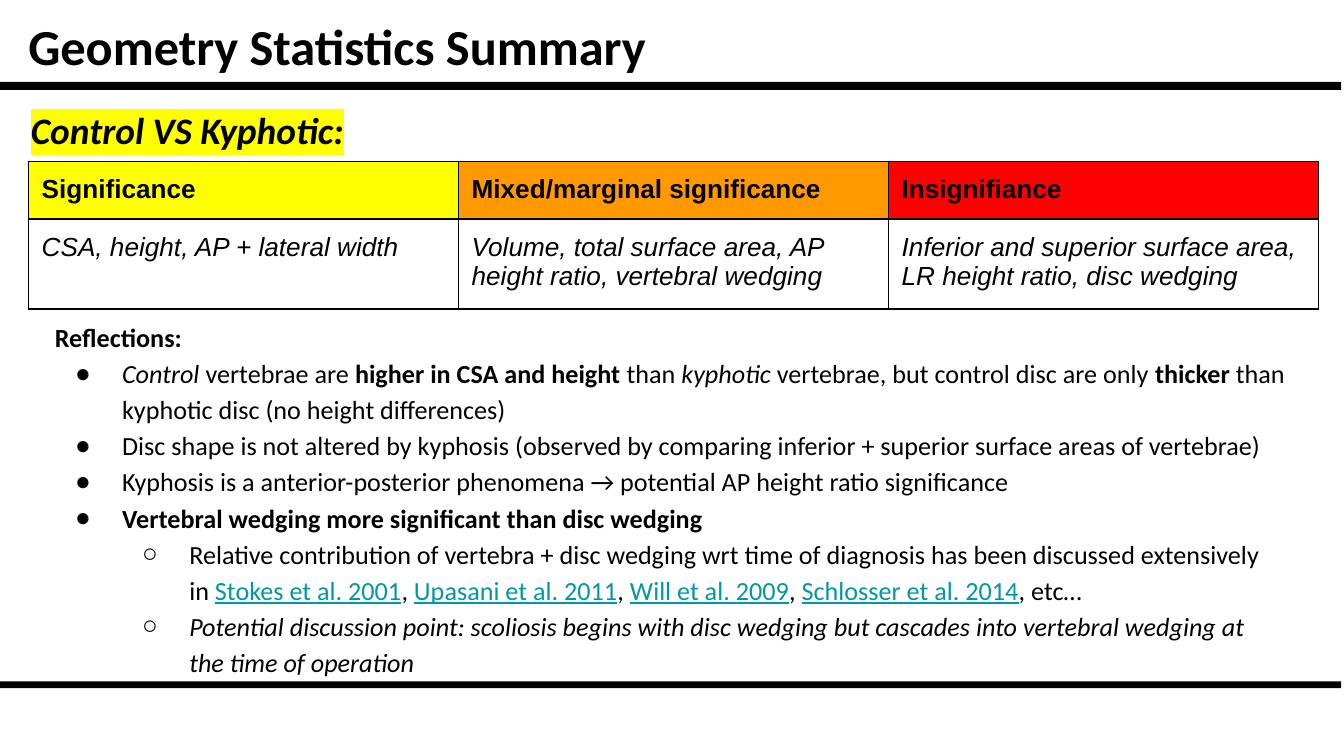
import dataclasses

import lxml.etree
import pptx
import pptx.dml.color
import pptx.enum.shapes
import pptx.enum.text
import pptx.oxml.ns
import pptx.util

Inches = pptx.util.Inches
qn = pptx.oxml.ns.qn


@dataclasses.dataclass(frozen=True)
class Theme:
    ink: str = "000000"
    link: str = "0097A7"
    yellow: str = "FFFF00"
    orange: str = "FF9900"
    red: str = "FF0000"
    text_font: str = "Calibri"
    table_font: str = "Arial"
    bullet_font: str = "Arial"
    title_size: int = 27
    heading_size: int = 20
    body_size: int = 14
    line_spacing: float = 1.15
    border_width: float = 0.75


THEME = Theme()
PLAIN, BOLD, ITALIC = {}, {"bold": True}, {"italic": True}
LINK = {"underline": True, "color": THEME.link}

RESULTS = [
    ("Significance", THEME.yellow, "CSA, height, AP + lateral width"),
    ("Mixed/marginal significance", THEME.orange,
     "Volume, total surface area, AP height ratio, vertebral wedging"),
    ("Insignifiance", THEME.red,
     "Inferior and superior surface area, LR height ratio, disc wedging"),
]

# Each paragraph: bullet level (0 is no bullet), then its runs
REFLECTIONS = [
    (0, [("Reflections:", BOLD)]),
    (1, [("Control ", ITALIC), ("vertebrae are ", PLAIN),
         ("higher in CSA and height", BOLD), (" than ", PLAIN),
         ("kyphotic ", ITALIC),
         ("vertebrae, but control disc are only ", PLAIN),
         ("thicker ", BOLD),
         ("than kyphotic disc (no height differences)", PLAIN)]),
    (1, [("Disc shape is not altered by kyphosis (observed by comparing "
          "inferior + superior surface areas of vertebrae)", PLAIN)]),
    (1, [("Kyphosis is a anterior-posterior phenomena → potential AP height "
          "ratio significance", PLAIN)]),
    (1, [("Vertebral wedging more significant than disc wedging", BOLD)]),
    (2, [("Relative contribution of vertebra + disc wedging wrt time of "
          "diagnosis has been discussed extensively in ", PLAIN),
         ("Stokes et al. 2001", LINK), (", ", PLAIN),
         ("Upasani et al. 2011", LINK), (", ", PLAIN),
         ("Will et al. 2009", LINK), (", ", PLAIN),
         ("Schlosser et al. 2014", LINK), (", etc…", PLAIN)]),
    (2, [("Potential discussion point: scoliosis begins with disc wedging but "
          "cascades into vertebral wedging at the time of operation", ITALIC)]),
]


def rgb(value):
    return pptx.dml.color.RGBColor.from_string(value)


def add_run(paragraph, text, size, name=THEME.text_font, color=THEME.ink, **styles):
    run = paragraph.add_run()
    run.text = text
    values = {"size": pptx.util.Pt(size), "name": name, "bold": False,
              "italic": False, **styles}
    for attribute, value in values.items():
        setattr(run.font, attribute, value)
    run.font.color.rgb = rgb(color)
    return run


def set_frame(frame, side, top):
    values = {"word_wrap": True, "auto_size": pptx.enum.text.MSO_AUTO_SIZE.NONE,
              "vertical_anchor": pptx.enum.text.MSO_ANCHOR.TOP,
              "margin_left": Inches(side), "margin_right": Inches(side),
              "margin_top": Inches(top), "margin_bottom": Inches(top)}
    for attribute, value in values.items():
        setattr(frame, attribute, value)


def add_text_box(slide, box, side, top):
    frame = slide.shapes.add_textbox(*map(Inches, box)).text_frame
    set_frame(frame, side, top)
    return frame


def add_rule(slide, box):
    shape = slide.shapes.add_shape(
        pptx.enum.shapes.MSO_SHAPE.RECTANGLE, *map(Inches, box))
    shape.shadow.inherit = False
    shape.fill.solid()
    shape.fill.fore_color.rgb = rgb(THEME.ink)
    shape.line.fill.background()


def place_title(slide, box):
    title = slide.shapes.title
    for attribute, value in zip(("left", "top", "width", "height"), box):
        setattr(title, attribute, Inches(value))
    set_frame(title.text_frame, 0.07, 0.04)
    paragraph = title.text_frame.paragraphs[0]
    paragraph.alignment = pptx.enum.text.PP_ALIGN.LEFT
    add_run(paragraph, "Geometry Statistics Summary", THEME.title_size, bold=True)


def add_heading(slide, box):
    paragraph = add_text_box(slide, box, 0.07, 0.04).paragraphs[0]
    paragraph.line_spacing = THEME.line_spacing
    run = add_run(paragraph, "Control VS Kyphotic:", THEME.heading_size,
                  bold=True, italic=True)
    # The highlight follows the text fill
    highlight = lxml.etree.Element(qn("a:highlight"))
    lxml.etree.SubElement(highlight, qn("a:srgbClr"), val=THEME.yellow)
    run.font._element.find(qn("a:solidFill")).addnext(highlight)


def set_borders(cell):
    properties = cell._tc.get_or_add_tcPr()
    for index, side in enumerate(("lnL", "lnR", "lnT", "lnB")):
        line = lxml.etree.Element(
            qn(f"a:{side}"), w=str(int(pptx.util.Pt(THEME.border_width))))
        fill = lxml.etree.SubElement(line, qn("a:solidFill"))
        lxml.etree.SubElement(fill, qn("a:srgbClr"), val=THEME.ink)
        properties.insert(index, line)


def fill_cell(cell, text, fill=None, **styles):
    for side in ("left", "right", "top", "bottom"):
        setattr(cell, f"margin_{side}", Inches(0.1))
    if fill:
        cell.fill.solid()
        cell.fill.fore_color.rgb = rgb(fill)
    else:
        cell.fill.background()
    set_borders(cell)
    add_run(cell.text_frame.paragraphs[0], text, THEME.body_size,
            THEME.table_font, **styles)


def add_results_table(slide, box):
    table = slide.shapes.add_table(2, len(RESULTS), *map(Inches, box)).table
    table.first_row = table.horz_banding = False
    for row, height in zip(table.rows, (0.43, 0.67)):
        row.height = Inches(height)
    for column, (heading, fill, measures) in enumerate(RESULTS):
        table.columns[column].width = Inches(box[2] / len(RESULTS))
        fill_cell(table.cell(0, column), heading, fill, bold=True)
        fill_cell(table.cell(1, column), measures, italic=True)


def add_bullet(paragraph, level):
    paragraph.level = level - 1
    properties = paragraph._p.get_or_add_pPr()
    properties.set("marL", str(Inches(0.5 * level)))
    properties.set("indent", str(Inches(-0.35)))
    color = lxml.etree.SubElement(properties, qn("a:buClr"))
    lxml.etree.SubElement(color, qn("a:srgbClr"), val=THEME.ink)
    lxml.etree.SubElement(properties, qn("a:buFont"), typeface=THEME.bullet_font)
    lxml.etree.SubElement(properties, qn("a:buChar"), char="●○"[level - 1])


def add_reflections(slide, box):
    frame = add_text_box(slide, box, 0.1, 0.05)
    for index, (level, runs) in enumerate(REFLECTIONS):
        paragraph = frame.add_paragraph() if index else frame.paragraphs[0]
        if level:
            add_bullet(paragraph, level)
        paragraph.line_spacing = THEME.line_spacing
        for text, styles in runs:
            add_run(paragraph, text, THEME.body_size, **styles)


def main():
    presentation = pptx.Presentation()
    # Widescreen, 16 to 9
    presentation.slide_width = Inches(10)
    presentation.slide_height = Inches(10 * 9 / 16)
    slide = presentation.slides.add_slide(presentation.slide_layouts[5])

    # Title between the top edge and the upper rule
    add_rule(slide, (0, 0.61, 9.98, 0.06))
    place_title(slide, (0.14, 0.07, 9.72, 0.53))

    # Comparison and its reflections above the lower rule
    add_rule(slide, (0, 5.07, 9.98, 0.05))
    add_heading(slide, (0.16, 0.71, 4.46, 0.41))
    add_results_table(slide, (0.21, 1.2, 9.6, 1.1))
    add_reflections(slide, (0.31, 2.31, 9.35, 2.78))
    presentation.save("out.pptx")


if __name__ == "__main__":
    main()
